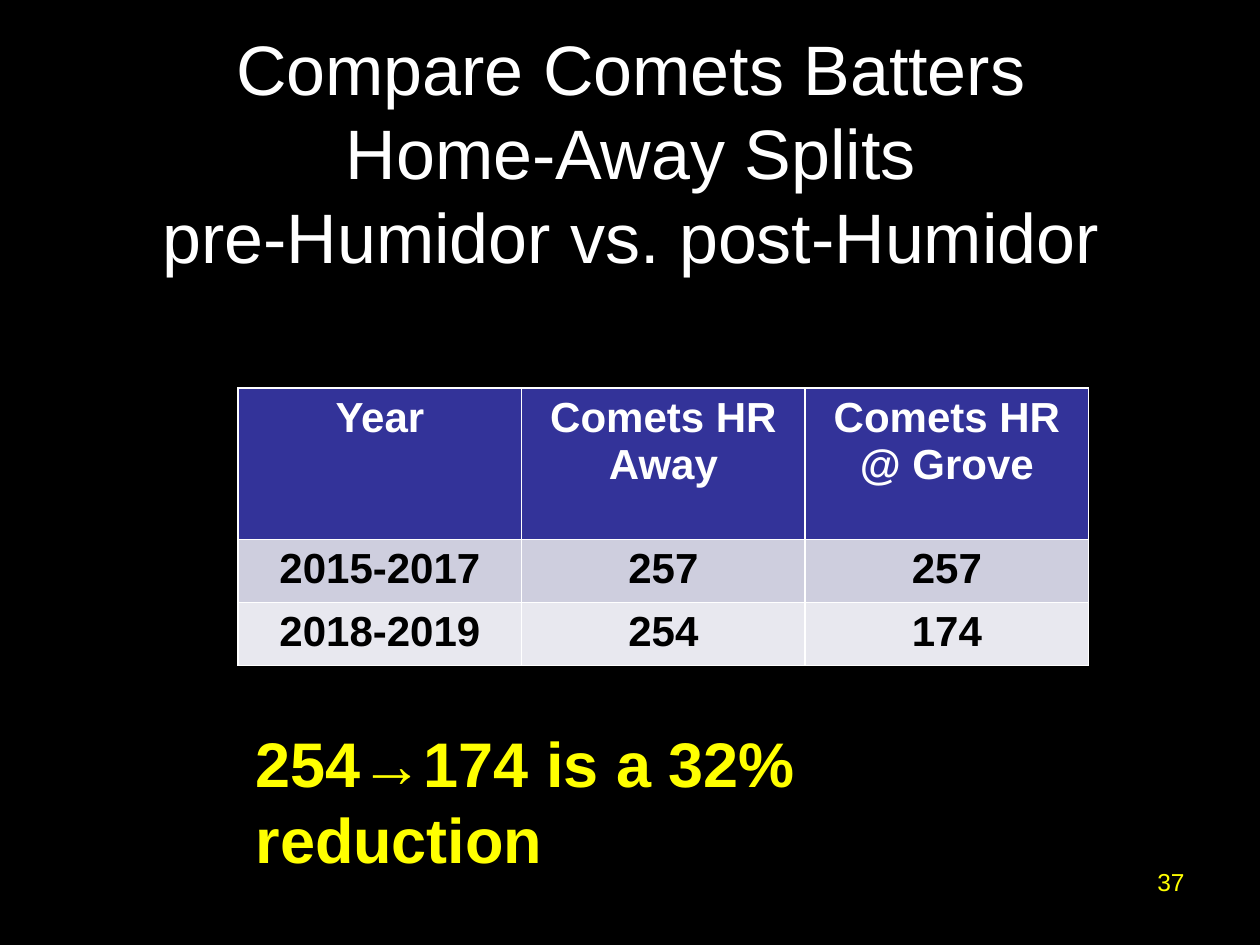
from lxml.etree import SubElement
from pptx import Presentation
from pptx.dml.color import RGBColor as RGB
from pptx.enum.text import MSO_ANCHOR as Anchor, MSO_AUTO_SIZE as Fit, PP_ALIGN as Align
from pptx.oxml.ns import qn
from pptx.util import Inches, Pt

HUE = {"back": "000000", "white": "FFFFFF", "note": "FFFF00", "head": "333399",
       "odd": "CECEDE", "even": "E8E8EF", "ink": "000000"}


def style(frame, size, hue, bold=False, align=Align.LEFT):
    for para in frame.paragraphs:
        para.alignment = align
        for run in para.runs:
            font = run.font
            font.name, font.size, font.bold = "Arial", Pt(size), bold
            font.color.rgb = RGB.from_string(HUE[hue])


def edge(cell, side):
    line = SubElement(cell._tc.get_or_add_tcPr(), qn("a:ln" + side), w=str(Pt(1)))
    fill = SubElement(line, qn("a:solidFill"))
    SubElement(fill, qn("a:srgbClr"), val=HUE["white"])


deck = Presentation()
deck.slide_width, deck.slide_height = Inches(10), Inches(7.5)
slide = deck.slides.add_slide(deck.slide_layouts[5])
back = slide.background.fill
back.solid()
back.fore_color.rgb = RGB.from_string(HUE["back"])

# Title
title = slide.shapes.title
title.left, title.top = Inches(0.67), Inches(0.75)
title.width, title.height = Inches(8.67), Inches(0.91)
frame = title.text_frame
frame.text = "Compare Comets Batters\vHome-Away Splits\vpre-Humidor vs. post-Humidor"
frame.auto_size = Fit.NONE
frame.vertical_anchor = Anchor.MIDDLE
style(frame, 40, "white", align=Align.CENTER)

# Page number and conclusion
notes = [
    ("37", (7.17, 6.83, 2.33, 0.52), 14, False, Align.RIGHT),
    ("254→174 is a 32% reduction", (1.93, 5.7, 6.67, 0.71), 36, True, Align.LEFT),
]
for text, spot, size, bold, align in notes:
    frame = slide.shapes.add_textbox(*map(Inches, spot)).text_frame
    frame.word_wrap = True
    frame.text = text
    style(frame, size, "note", bold, align)

# Home runs by period
rows = [
    ("Year", "Comets HR Away", "Comets HR @ Grove"),
    ("2015-2017", "257", "257"),
    ("2018-2019", "254", "174"),
]
looks = [(1.2, "head", "white"), (0.5, "odd", "ink"), (0.5, "even", "ink")]
table = slide.shapes.add_table(3, 3, Inches(1.89), Inches(3.08),
                               Inches(6.75), Inches(2.2)).table
for col in table.columns:
    col.width = Inches(6.75 / 3)
for r, (texts, (tall, fill, ink)) in enumerate(zip(rows, looks)):
    table.rows[r].height = Inches(tall)
    for c, text in enumerate(texts):
        cell = table.cell(r, c)
        cell.text = text
        style(cell.text_frame, 24, ink, True, Align.CENTER)
        for side in "LRTB":
            edge(cell, side)
        cell.fill.solid()
        cell.fill.fore_color.rgb = RGB.from_string(HUE[fill])

deck.save("out.pptx")
